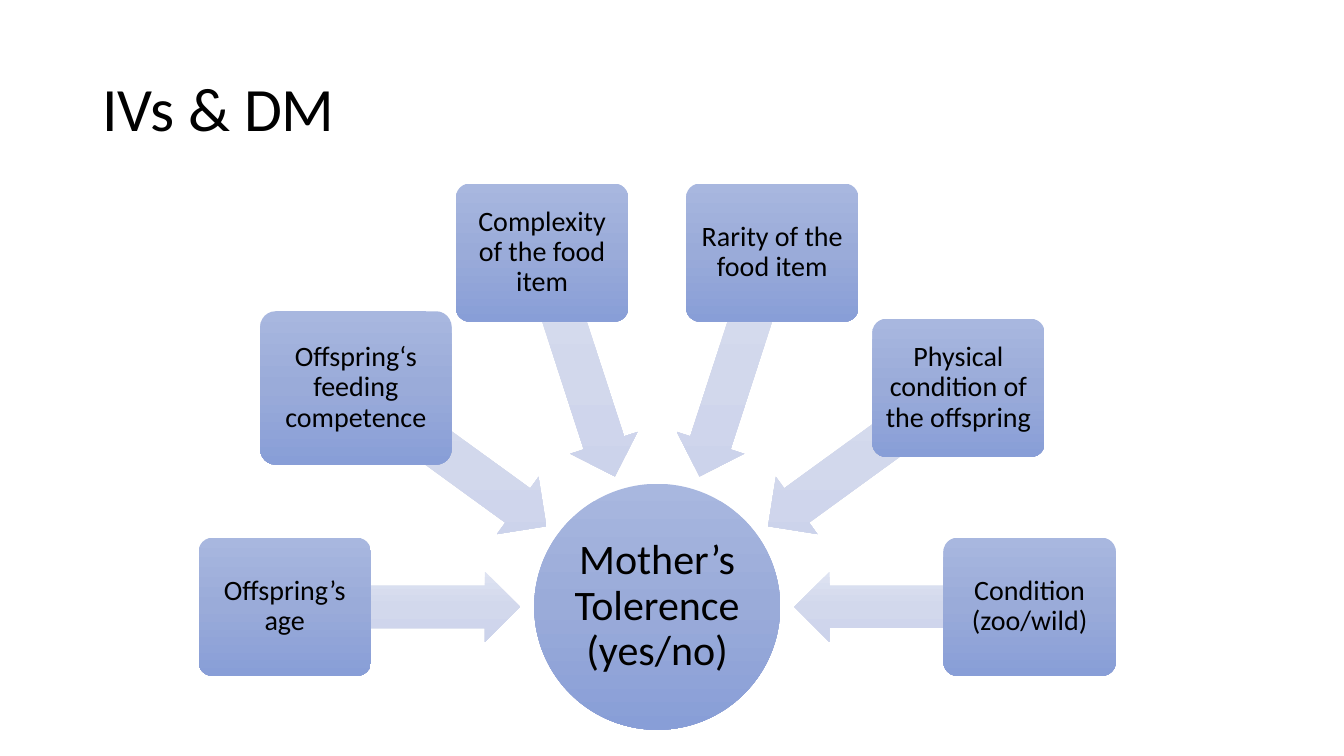
from copy import deepcopy
from math import cos, radians, sin

from pptx import Presentation
from pptx.dml.color import RGBColor
from pptx.enum.shapes import MSO_SHAPE as Shape
from pptx.enum.text import MSO_ANCHOR as Anchor, PP_ALIGN as Align
from pptx.oxml.ns import qn
from pptx.util import Inches, Pt

COLS, ROWS = 160, 90  # square grid cells over the whole slide
NODE_COLORS = ("A8B7DF", "9AABD9", "889ED7")
ARROW_COLORS = ("DEE3F2", "D2D8EC", "CCD3EB")

HUB_X, HUB_Y, HUB_SIZE = 78.24, 72.24, 29.28
BOX_W, BOX_H, BOX_RADIUS = 20.52, 16.44, 44.34
ARROW_W, ARROW_H, ARROW_RADIUS = 28.08, 8.4, 30.36
START_ANGLE, STEP = 180, 36

FACTORS = [  # label, box scale; clockwise from the left
    ("Offspring’s age", 1),
    ("Offspring‘s feeding competence", 1.11),
    ("Complexity of the food item", 1),
    ("Rarity of the food item", 1),
    ("Physical condition of the offspring", 1),
    ("Condition (zoo/wild)", 1),
]


def rgb(value):
    """Turn a hex string into a colour."""
    return RGBColor.from_string(value)


def around_hub(angle, radius):
    """Return the grid point at an angle and distance from the hub."""
    turn = radians(angle)
    return HUB_X + radius * cos(turn), HUB_Y + radius * sin(turn)


class Deck:
    """Holds the text style and the current slide."""

    font, color = "Calibri", "000000"

    def __init__(self, prs):
        """Add a blank slide and fit the grid to it."""
        self.s = prs.slides.add_slide(prs.slide_layouts[6])
        self.col, self.row = prs.slide_width / COLS, prs.slide_height / ROWS

    def place(self, x, y, w, h):
        """Convert grid lengths to slide lengths."""
        return (round(x * self.col), round(y * self.row),
                round(w * self.col), round(h * self.row))

    def add_text(self, tf, text, size, align):
        """Put one styled run into a text frame."""
        tf.word_wrap, tf.vertical_anchor = True, Anchor.MIDDLE
        p = tf.paragraphs[0]
        p.alignment, p.line_spacing = align, 0.9
        r = p.add_run()
        r.text = text
        r.font.name, r.font.size = self.font, Pt(size)
        r.font.color.rgb = rgb(self.color)

    def title(self, text, x, y, w, h):
        """Add the slide title."""
        box = self.s.shapes.add_textbox(*self.place(x, y, w, h))
        self.add_text(box.text_frame, text, 44, Align.LEFT)

    def shape(self, kind, center, w, h, colors, adjust=()):
        """Add a centred shape with an upright three-stop gradient."""
        x, y = center
        sp = self.s.shapes.add_shape(kind, *self.place(x - w / 2, y - h / 2, w, h))
        sp.shadow.inherit = False
        sp.line.fill.background()
        for i, value in enumerate(adjust):
            sp.adjustments[i] = value
        sp.fill.gradient()
        sp.fill.gradient_angle = 270
        grad = sp._element.spPr.find(qn("a:gradFill"))
        grad.set("rotWithShape", "0")
        stops = grad.find(qn("a:gsLst"))
        stops.append(deepcopy(stops[0]))
        for i, stop in enumerate(sp.fill.gradient_stops):
            stop.position, stop.color.rgb = i / 2, rgb(colors[i])
        return sp

    def node(self, kind, center, w, h, text, size, inset, adjust=()):
        """Add a labelled node."""
        tf = self.shape(kind, center, w, h, NODE_COLORS, adjust).text_frame
        tf.margin_left = tf.margin_right = Inches(inset)
        tf.margin_top = tf.margin_bottom = Inches(inset)
        self.add_text(tf, text, size, Align.CENTER)

    def arrow(self, angle):
        """Add an arrow that points at the hub."""
        center = around_hub(angle, ARROW_RADIUS)
        sp = self.shape(Shape.LEFT_ARROW, center, ARROW_W, ARROW_H,
                        ARROW_COLORS, (0.6, 0.5))
        sp.rotation = angle % 360


def main():
    """Build and save the slide."""
    prs = Presentation()
    prs.slide_width, prs.slide_height = Inches(13.33), Inches(7.5)
    deck = Deck(prs)
    deck.node(Shape.OVAL, (HUB_X, HUB_Y), HUB_SIZE, HUB_SIZE,
              "Mother’s Tolerence (yes/no)", 30, 0.02)
    for i, (label, scale) in enumerate(FACTORS):
        angle = START_ANGLE + i * STEP
        deck.arrow(angle)
        deck.node(Shape.ROUNDED_RECTANGLE, around_hub(angle, BOX_RADIUS),
                  BOX_W * scale, BOX_H * scale, label, 20, 0.04, (0.1,))
    deck.title("IVs & DM", 11, 4.6, 138, 17.4)
    prs.save("out.pptx")


main()
